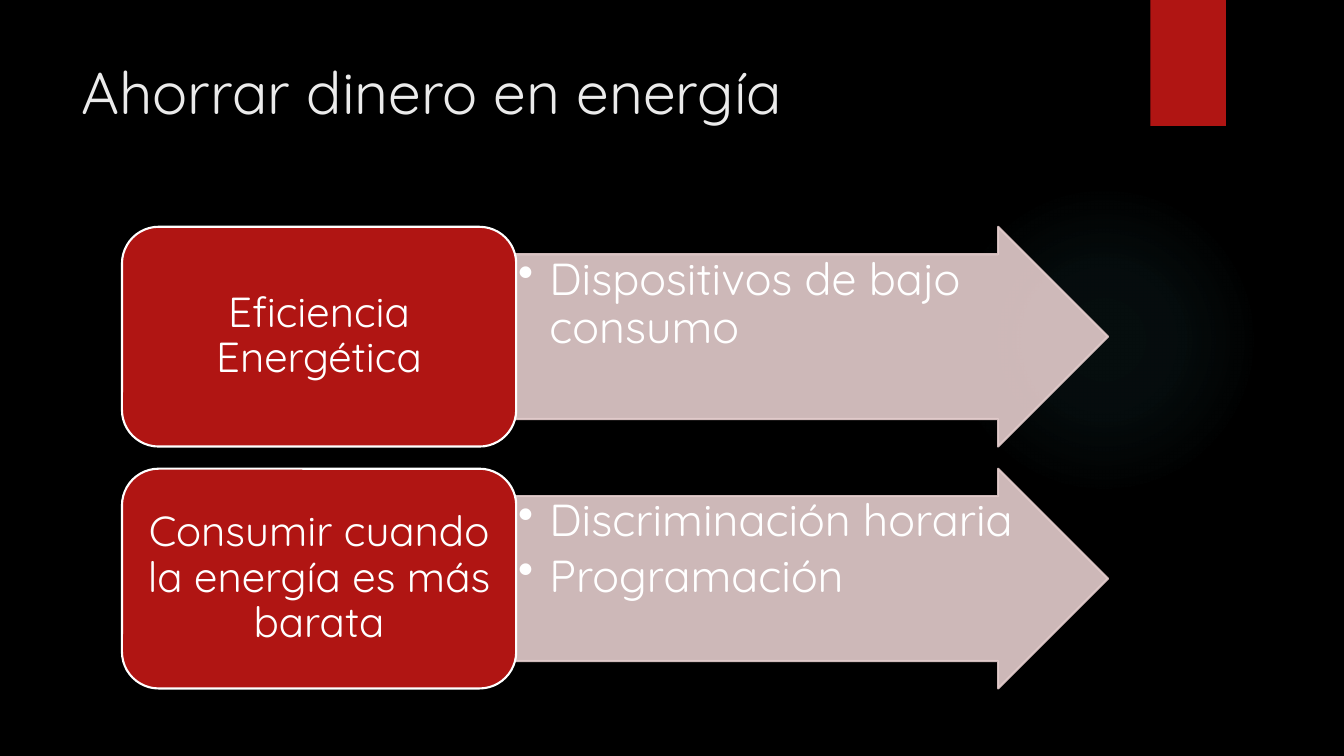
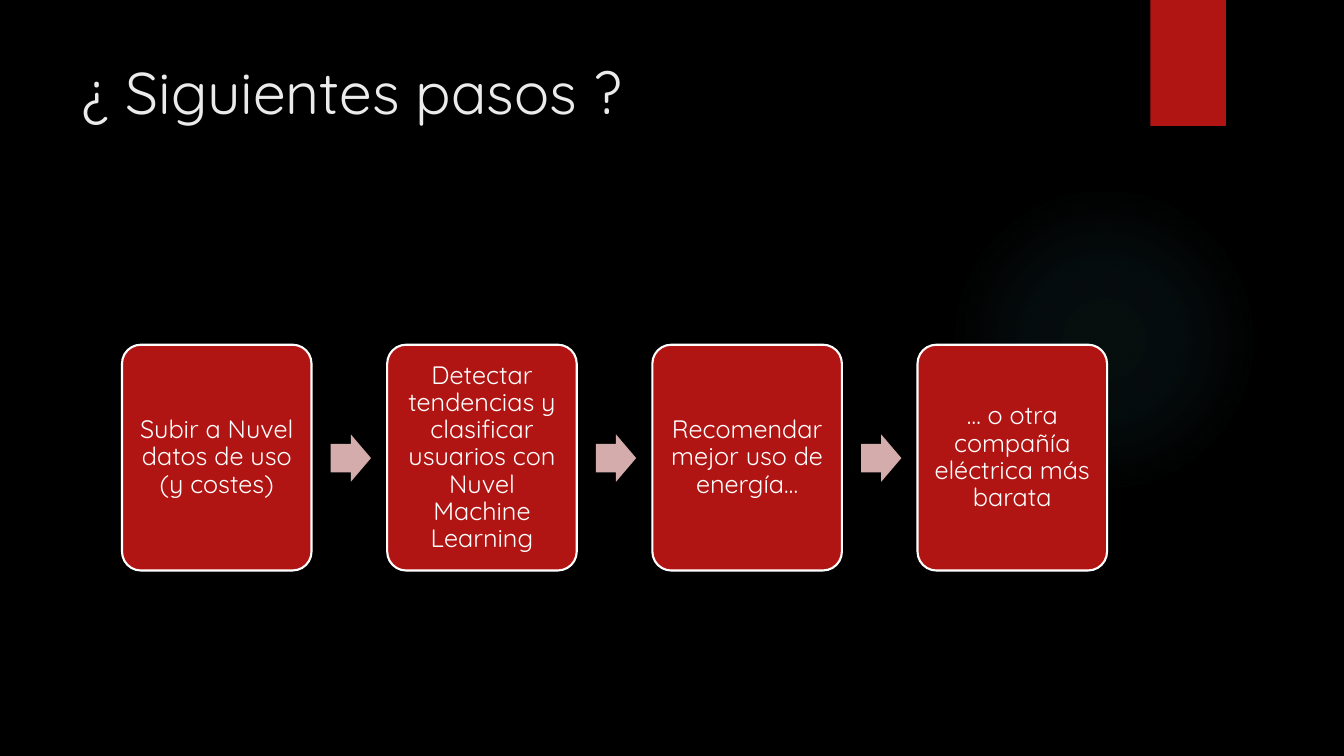
import lxml.etree
import pptx
import pptx.dml.color
import pptx.enum.shapes
import pptx.enum.text
import pptx.oxml
import pptx.oxml.ns
import pptx.util

Inches = pptx.util.Inches
Pt = pptx.util.Pt
SHAPES = pptx.enum.shapes.MSO_SHAPE
ALIGN = pptx.enum.text.PP_ALIGN
ANCHOR = pptx.enum.text.MSO_ANCHOR
qn = pptx.oxml.ns.qn

FONT = "Quicksand"
BLACK, WHITE, RED = "000000", "FFFFFF", "B01513"
TITLE_COLOR, GLOW = "EBEBEB", "50B9C1"
PALE_ARROW, STEP_ARROW = "E4CCCC", "D4ACAB"

TITLE_FORMAT = {"size": Pt(42), "color": TITLE_COLOR}
TOPIC_FORMAT = {"size": Pt(30), "color": WHITE}
DETAIL_FORMAT = {"size": Pt(32), "color": WHITE}
STEP_FORMAT = {"size": Pt(18), "color": WHITE}
CENTERED = {"alignment": ALIGN.CENTER, "line_spacing": 0.9}
BULLETED = {"alignment": ALIGN.LEFT, "line_spacing": 0.9, "space_after": Pt(5)}

LEFT = 1.21
TOPICS = [
    ("Eficiencia Energética", ["Dispositivos de bajo consumo"]),
    ("Consumir cuando la energía es más barata",
     ["Discriminación horaria", "Programación"]),
]
STEPS = [
    "Subir a Nuvel datos de uso (y costes)",
    "Detectar tendencias y clasificar usuarios con Nuvel Machine Learning",
    "Recomendar mejor uso de energía…",
    "… o otra compañía eléctrica más barata",
]


def rgb(value):
    return pptx.dml.color.RGBColor.from_string(value)


def set_values(target, values):
    for name, value in values.items():
        setattr(target, name, value)


def set_opacity(shape, percent):
    for color in shape.element.spPr.iter(qn("a:srgbClr")):
        alpha = lxml.etree.SubElement(color, qn("a:alpha"))
        alpha.set("val", str(percent * 1000))


def add_shape(slide, kind, box, fill, line=None, adjustments=()):
    shape = slide.shapes.add_shape(kind, *map(Inches, box))
    shape.shadow.inherit = False
    shape.fill.solid()
    shape.fill.fore_color.rgb = rgb(fill)
    if line:
        shape.line.color.rgb = rgb(line)
        shape.line.width = Pt(1.5)
    else:
        shape.line.fill.background()
    for index, value in enumerate(adjustments):
        shape.adjustments[index] = value
    return shape


def write_text(shape, lines, font_format, paragraph_format, anchor, insets):
    frame = shape.text_frame
    horizontal, vertical = map(Inches, insets)
    set_values(frame, {
        "word_wrap": True, "vertical_anchor": anchor,
        "margin_left": horizontal, "margin_right": horizontal,
        "margin_top": vertical, "margin_bottom": vertical,
    })
    frame.text = "\n".join(lines)
    for paragraph in frame.paragraphs:
        set_values(paragraph, paragraph_format)
        font = paragraph.runs[0].font
        set_values(font, {"name": FONT, "size": font_format["size"]})
        font.color.rgb = rgb(font_format["color"])


def add_bullets(shape, indent):
    for paragraph in shape.text_frame.paragraphs:
        properties = paragraph._p.get_or_add_pPr()
        properties.set("marL", str(Inches(indent)))
        properties.set("indent", str(-Inches(indent)))
        bullet = lxml.etree.SubElement(properties, qn("a:buChar"))
        bullet.set("char", "•")


def add_glow(slide):
    glow = add_shape(slide, SHAPES.OVAL, (9.41, 1.83, 3.08, 3.08), GLOW)
    stops = "".join(
        f'<a:gs pos="{position * 1000}"><a:srgbClr val="{GLOW}">'
        f'<a:alpha val="{opacity * 1000}"/></a:srgbClr></a:gs>'
        for position, opacity in ((0, 7), (36, 6), (69, 0), (100, 0)))
    gradient = pptx.oxml.parse_xml(
        f'<a:gradFill {pptx.oxml.ns.nsdecls("a")}><a:gsLst>{stops}</a:gsLst>'
        '<a:path path="circle"><a:fillToRect l="50000" t="50000" '
        'r="50000" b="50000"/></a:path></a:gradFill>')
    properties = glow.element.spPr
    properties.replace(properties.find(qn("a:solidFill")), gradient)


def add_slide(presentation, title):
    slide = presentation.slides.add_slide(presentation.slide_layouts[6])
    add_glow(slide)
    add_shape(slide, SHAPES.RECTANGLE, (11.41, 0, 0.75, 1.25), RED)
    title_box = slide.shapes.add_textbox(*map(Inches, (0.71, 0.5, 10.29, 1.53)))
    write_text(title_box, [title], TITLE_FORMAT, {}, ANCHOR.TOP, (0.1, 0.05))
    return slide


def add_card(slide, box, text, font_format, insets, adjustments=()):
    card = add_shape(slide, SHAPES.ROUNDED_RECTANGLE, box, RED, WHITE, adjustments)
    write_text(card, [text], font_format, CENTERED, ANCHOR.MIDDLE, insets)


def add_topic(slide, top, topic, details):
    width, height = 3.91, 2.18
    arrow = add_shape(slide, SHAPES.RIGHT_ARROW, (LEFT + width, top, 5.87, height),
                      PALE_ARROW, PALE_ARROW, (0.75, 0.5))
    set_opacity(arrow, 90)
    write_text(arrow, details, DETAIL_FORMAT, BULLETED, ANCHOR.TOP, (0.02, 0.02))
    add_bullets(arrow, 0.31)
    add_card(slide, (LEFT, top, width, height), topic, TOPIC_FORMAT, (0.12, 0.06))


def add_steps(slide, steps):
    pitch, width, gap = 2.63, 1.88, 0.19
    for index, step in enumerate(steps):
        left = LEFT + index * pitch
        if index:
            add_shape(slide, SHAPES.RIGHT_ARROW,
                      (left - pitch + width + gap, 4.31, 0.4, 0.47),
                      STEP_ARROW, adjustments=(0.6, 0.5))
        add_card(slide, (left, 3.42, width, 2.24), step, STEP_FORMAT,
                 (0.07, 0.07), (0.1,))


def main():
    presentation = pptx.Presentation()
    set_values(presentation, {"slide_width": Inches(13.33),
                              "slide_height": Inches(7.5)})
    background = presentation.slide_master.background.fill
    background.solid()
    background.fore_color.rgb = rgb(BLACK)

    savings = add_slide(presentation, "Ahorrar dinero en energía")
    for index, (topic, details) in enumerate(TOPICS):
        add_topic(savings, 2.25 + index * 2.4, topic, details)

    add_steps(add_slide(presentation, "¿ Siguientes pasos ?"), STEPS)
    presentation.save("out.pptx")


if __name__ == "__main__":
    main()
